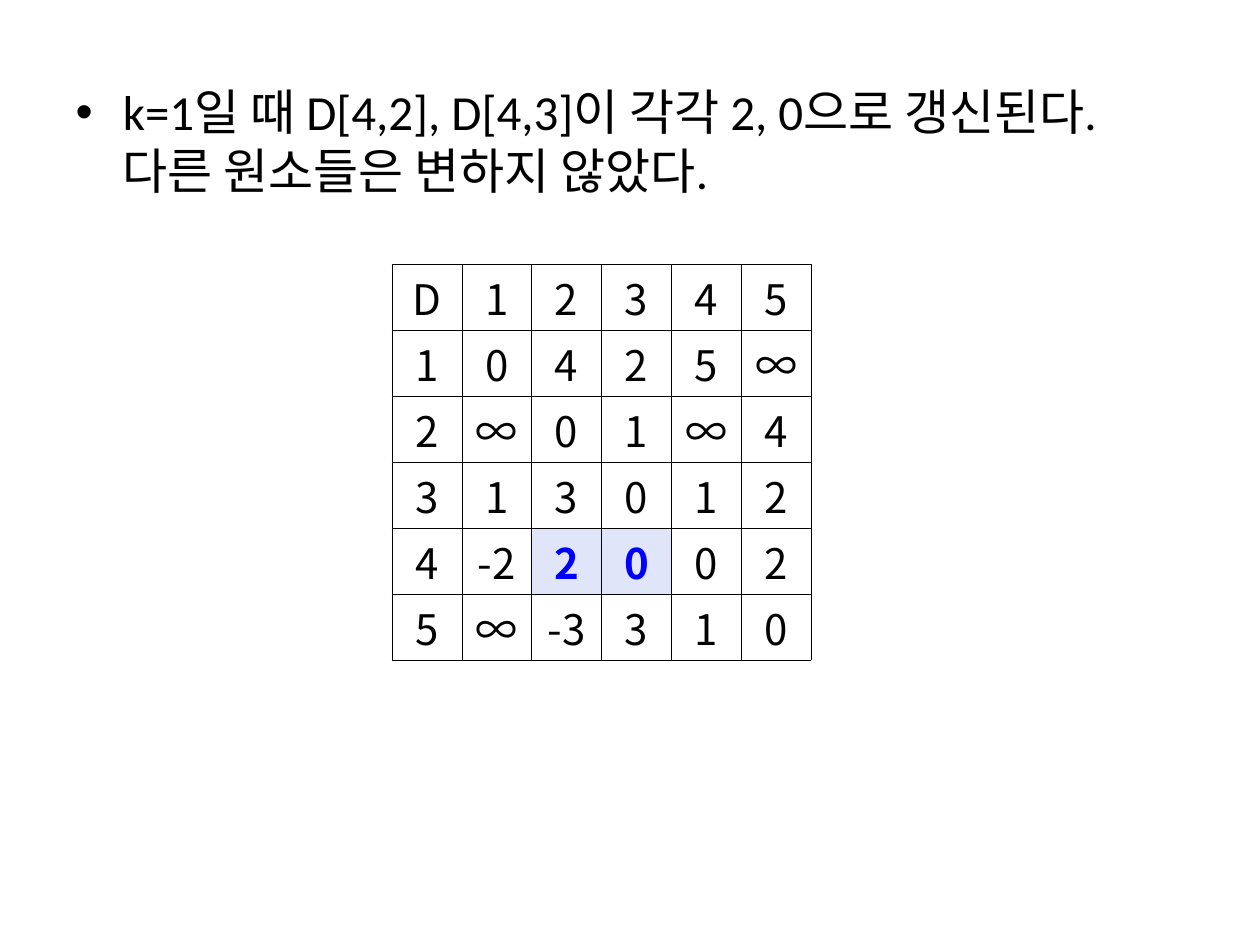
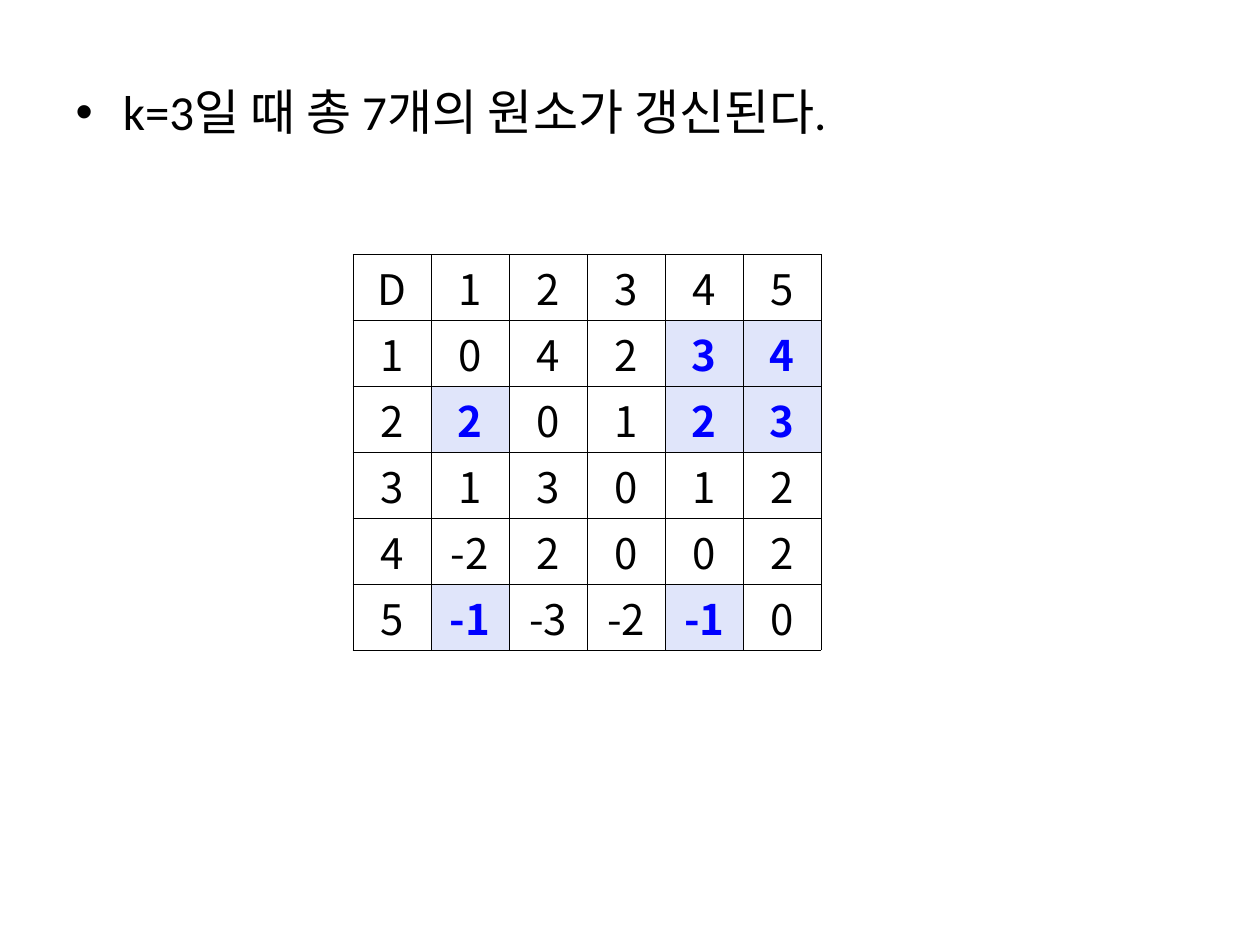
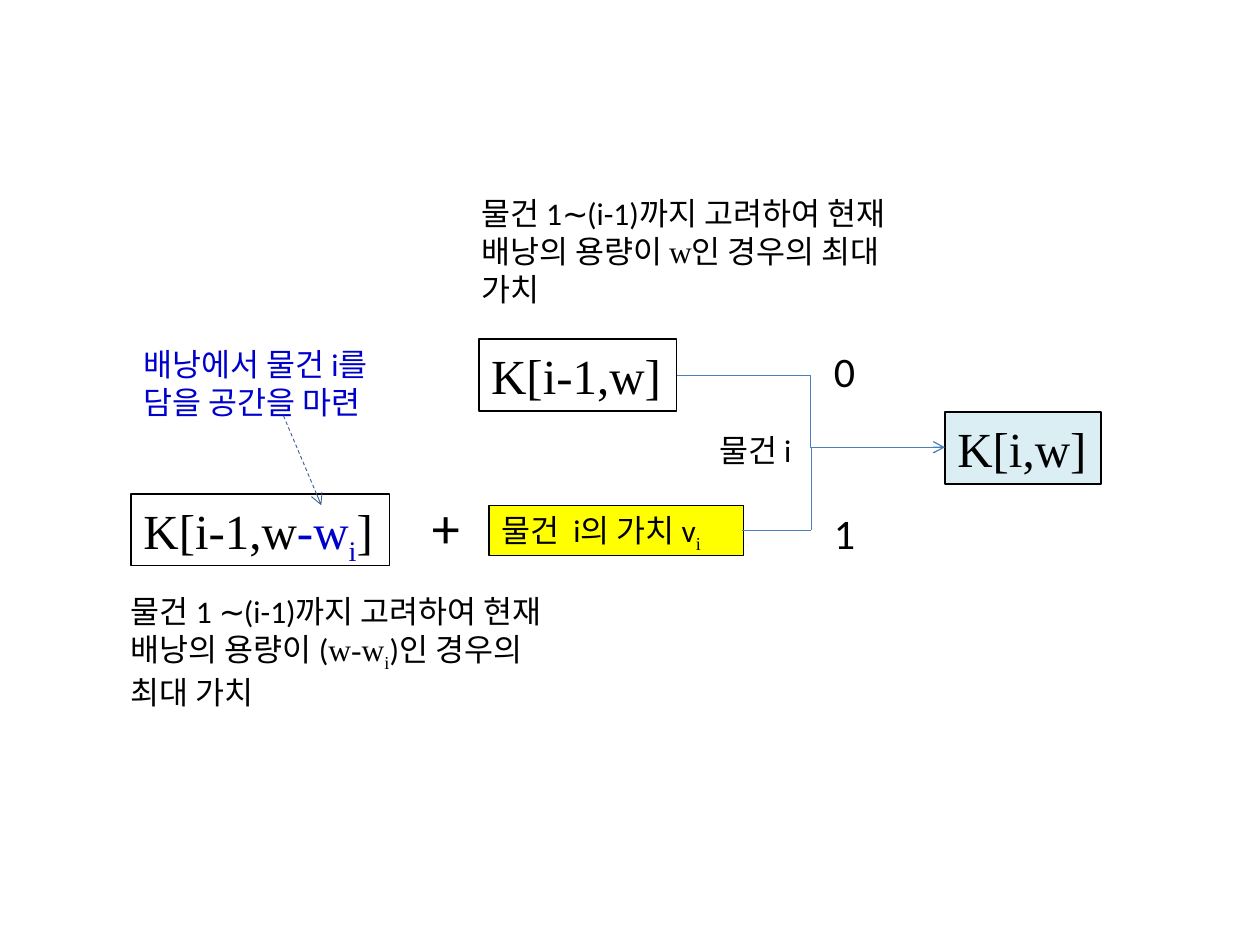
from lxml.etree import SubElement
from pptx import Presentation
from pptx.dml.color import RGBColor
from pptx.enum.dml import MSO_LINE
from pptx.enum.shapes import MSO_CONNECTOR, MSO_SHAPE
from pptx.enum.text import MSO_ANCHOR, PP_ALIGN
from pptx.oxml.ns import qn
from pptx.util import Inches, Pt

# The slide is a grid of 100 columns and 75 rows
CELL = Inches(0.1)
LATIN, KOREAN, FORMULA = "Calibri", "Noto Sans CJK KR", "Times New Roman"
BLACK, WHITE, YELLOW, PALE_CYAN = "000000", "FFFFFF", "FFFF00", "DBEEF4"
BLUE, PALE_BLUE, NOTE_BLUE = "0000FF", "E0E5FA", "0000CC"
FLOW_BLUE, POINTER_BLUE = "4B7EBC", "3A5F8C"

BODY_BOX = (5, 6, 90, 61)
UPDATE_STEPS = [
    # statement, table box, rows (an asterisk marks an updated value)
    ("k=1일 때 D[4,2], D[4,3]이 각각 2, 0으로 갱신된다. 다른 원소들은 변하지 않았다.",
     (31.1, 21, 33.3, 26.3),
     ["D 1 2 3 4 5", "1 0 4 2 5 ∞", "2 ∞ 0 1 ∞ 4",
      "3 1 3 0 1 2", "4 -2 2* 0* 0 2", "5 ∞ -3 3 1 0"]),
    ("k=3일 때 총 7개의 원소가 갱신된다.",
     (28, 20.2, 37.2, 26.3),
     ["D 1 2 3 4 5", "1 0 4 2 3* 4*", "2 2* 0 1 2* 3*",
      "3 1 3 0 1 2", "4 -2 2 0 0 2", "5 -1* -3 -2 -1* 0"]),
]


def color(value):
    return RGBColor.from_string(value)


def grid(*cells):
    return [round(cell * CELL) for cell in cells]


def write(frame, *parts, size=18, font=LATIN, ink=BLACK, bold=False,
          align=None, wrap=True, anchor=MSO_ANCHOR.TOP):
    """Each part is a string, or a string with its own font, ink or sub."""
    frame.word_wrap = wrap
    frame.vertical_anchor = anchor
    paragraph = frame.paragraphs[0]
    paragraph.alignment = align
    for part in parts:
        words, own = (part, {}) if isinstance(part, str) else part
        run = paragraph.add_run()
        run.text = words
        run.font.size, run.font.bold = Pt(size), bold
        run.font.name = own.get("font", font)
        run.font.color.rgb = color(own.get("ink", ink))
        properties = run._r.get_or_add_rPr()
        SubElement(properties, qn("a:ea")).set("typeface", KOREAN)
        if own.get("sub"):
            properties.set("baseline", "-25000")


def border(cell):
    properties = cell._tc.get_or_add_tcPr()
    for position, side in enumerate(("a:lnL", "a:lnR", "a:lnT", "a:lnB")):
        line = properties.makeelement(qn(side), {"w": str(Pt(0.28))})
        fill = SubElement(line, qn("a:solidFill"))
        SubElement(fill, qn("a:srgbClr")).set("val", BLACK)
        properties.insert(position, line)


def distance_table(slide, box, rows):
    values = [row.split() for row in rows]
    frame = slide.shapes.add_table(len(values), len(values[0]), *grid(*box))
    for r, row in enumerate(values):
        for c, value in enumerate(row):
            cell = frame.table.cell(r, c)
            updated = value.endswith("*")
            cell.margin_left = cell.margin_right = Inches(0.07)
            cell.margin_top = cell.margin_bottom = Inches(0.02)
            cell.vertical_anchor = MSO_ANCHOR.MIDDLE
            cell.fill.solid()
            cell.fill.fore_color.rgb = color(PALE_BLUE if updated else WHITE)
            write(cell.text_frame, value.rstrip("*"), size=24, font=KOREAN,
                  ink=BLUE if updated else BLACK, bold=updated,
                  align=PP_ALIGN.CENTER, wrap=None, anchor=None)
            border(cell)


def update_slide(deck, statement, table_box, rows):
    slide = deck.slides.add_slide(deck.slide_layouts[1])
    title, body = slide.placeholders
    title.element.getparent().remove(title.element)
    body.left, body.top, body.width, body.height = grid(*BODY_BOX)
    write(body.text_frame, statement, size=28)
    distance_table(slide, table_box, rows)


def knapsack_diagram(slide, box):
    left, top = box

    def place(x, y):
        return grid(left + x, top + y)

    def label(x, y, width, height, *parts, **style):
        text = slide.shapes.add_textbox(*place(x, y), *grid(width, height))
        write(text.text_frame, *parts, **style)

    def panel(x, y, width, height, *parts, fill=None, outline=None, **style):
        shape = slide.shapes.add_shape(
            MSO_SHAPE.RECTANGLE, *place(x, y), *grid(width, height))
        shape.shadow.inherit = False
        if fill:
            shape.fill.solid()
            shape.fill.fore_color.rgb = color(fill)
        else:
            shape.fill.background()
        if outline:
            shape.line.color.rgb = color(BLACK)
            shape.line.width = Pt(outline)
        else:
            shape.line.fill.background()
        write(shape.text_frame, *parts, align=PP_ALIGN.LEFT, **style)

    def link(start, end, kind=MSO_CONNECTOR.STRAIGHT, ink=FLOW_BLUE,
             width=0.75, dash=None, arrow=False):
        line = slide.shapes.add_connector(kind, *place(*start), *place(*end))
        line.line.color.rgb = color(ink)
        line.line.width = Pt(width)
        if dash:
            line.line.dash_style = dash
        if arrow:
            SubElement(line.line._get_or_add_ln(),
                       qn("a:tailEnd")).set("type", "arrow")
        SubElement(line._element.spPr, qn("a:effectLst"))

    formula = {"size": 28, "font": FORMULA, "wrap": False}
    subscript_i = ("i", {"font": FORMULA, "sub": True})

    # Subproblems and result
    panel(28.6, 12, 15.7, 5.7, "K[i-1,w]", outline=1, **formula)
    panel(1, 24.3, 20.5, 5.7, "K[i-1,w", ("-w", {"ink": NOTE_BLUE}),
          ("i", {"ink": NOTE_BLUE, "sub": True}), "]", outline=0.75, **formula)
    panel(65.6, 17.8, 12.4, 5.7, "K[i,w]", fill=PALE_CYAN, outline=1, **formula)

    # Value of the item and explanations
    label(0, 31.6, 34.8, 10.1, "물건 1 ∼(i-1)까지 고려하여 현재 배낭의 용량이 (",
          ("w-w", {"font": FORMULA}), subscript_i, ")인 경우의 최대 가치")
    panel(29.4, 25.2, 20.2, 4, "물건  i의 가치 v", subscript_i,
          fill=YELLOW, outline=0.75)
    label(23.9, 23.7, 3.1, 6.4, "+", size=32)
    label(27.8, 0, 34.8, 10.1, "물건 1∼(i-1)까지 고려하여 현재 배낭의 용량이 ",
          ("w", {"font": FORMULA}), "인 경우의 최대 가치")

    # Choice of leaving out (0) or packing (1) the item
    junction, lower_bend = (55, 20.6), (55, 27.2)
    link((44.3, 14.9), (65.6, 20.6), MSO_CONNECTOR.ELBOW, arrow=True)
    label(46.7, 18.8, 9.4, 4, "물건 i")
    for choice, y in (("0", 12), ("1", 24.9)):
        label(55.8, y, 3.5, 5, choice, size=24)
    link((49.5, 27.2), lower_bend)
    link(junction, lower_bend)

    # Note on the space reserved for the item
    panel(1, 12, 22.8, 7.1, "배낭에서 물건 i를 담을 공간을 마련",
          fill=WHITE, ink=NOTE_BLUE)
    link((13.1, 18.1), (16.1, 25.2), ink=POINTER_BLUE, width=0.5,
         dash=MSO_LINE.DASH, arrow=True)


def main():
    deck = Presentation()
    deck.slide_width, deck.slide_height = grid(100, 75)
    for statement, table_box, rows in UPDATE_STEPS:
        update_slide(deck, statement, table_box, rows)
    knapsack_diagram(deck.slides.add_slide(deck.slide_layouts[6]), (9.4, 14.9))
    deck.save("out.pptx")


if __name__ == "__main__":
    main()
